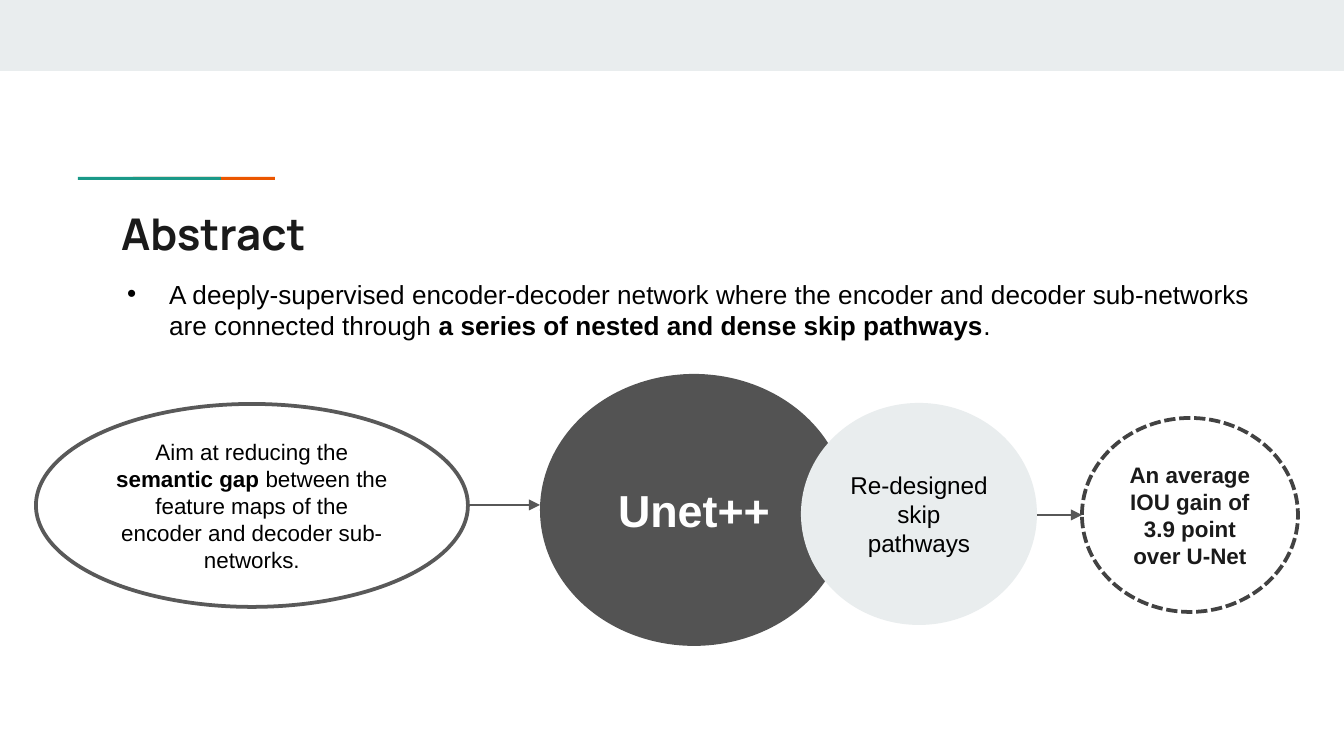
from lxml import etree
from pptx import Presentation
from pptx import util as u
from pptx.dml.color import RGBColor
from pptx.enum import dml, shapes, text
from pptx.oxml.ns import qn

SCALE = 914400 / 134.4  # EMU per px
COLORS = {
    "band": "E9EDEE", "teal": "1A9988", "orange": "EB5600",
    "ink": "1A1A1A", "black": "000000", "white": "FFFFFF",
    "dark": "535353", "outline": "595959", "arrow": "575757", "dash": "424242",
}


def px(n):
    return u.Emu(round(n * SCALE))


def rgb(name):
    return RGBColor.from_string(COLORS[name])


def write(frame, content, size=12, color="black", bold=False, font="Arial", align=None):
    """Fill the frame's first paragraph; content is a string or (string, bold) runs."""
    frame.word_wrap = True
    paragraph = frame.paragraphs[0]
    paragraph.alignment = align
    runs = [(content, bold)] if isinstance(content, str) else content
    for words, is_bold in runs:
        run = paragraph.add_run()
        run.text = words
        run.font.name, run.font.size, run.font.bold = font, u.Pt(size), is_bold
        run.font.color.rgb = rgb(color)
    return paragraph


class Deck:
    def __init__(self, width, height):
        self.prs = Presentation()
        self.prs.slide_width, self.prs.slide_height = px(width), px(height)
        self.slide = self.prs.slides.add_slide(self.prs.slide_layouts[6])

    def shape(self, kind, box, fill=None, line=None, dash=None):
        item = self.slide.shapes.add_shape(kind, *map(px, box))
        item.shadow.inherit = False
        if fill:
            item.fill.solid()
            item.fill.fore_color.rgb = rgb(fill)
        else:
            item.fill.background()
        if line:
            item.line.color.rgb = rgb(line)
            item.line.width = u.Pt(2)
            if dash:
                item.line.dash_style = dash
        else:
            item.line.fill.background()
        return item

    def bar(self, box, fill):
        return self.shape(shapes.MSO_SHAPE.RECTANGLE, box, fill)

    def oval(self, box, content, fill=None, line=None, dash=None, **style):
        item = self.shape(shapes.MSO_SHAPE.OVAL, box, fill, line, dash)
        item.text_frame.vertical_anchor = text.MSO_ANCHOR.MIDDLE
        write(item.text_frame, content, align=text.PP_ALIGN.CENTER, **style)

    def textbox(self, box, content, inset_y=7, bullet=None, indent=42, **style):
        frame = self.slide.shapes.add_textbox(*map(px, box)).text_frame
        frame.margin_top = frame.margin_bottom = px(inset_y)
        paragraph = write(frame, content, **style)
        if bullet:
            props = paragraph._p.get_or_add_pPr()
            props.set("marL", str(px(indent)))
            props.set("indent", str(-px(indent)))
            etree.SubElement(props, qn("a:buFont")).set("typeface", "Arial")
            etree.SubElement(props, qn("a:buChar")).set("char", bullet)

    def arrow(self, x1, x2, y):
        line = self.slide.shapes.add_connector(
            shapes.MSO_CONNECTOR.STRAIGHT, px(x1), px(y), px(x2), px(y))
        line.line.color.rgb = rgb("arrow")
        line.line.width = u.Pt(0.75)
        etree.SubElement(line.line._get_or_add_ln(), qn("a:tailEnd")).set("type", "triangle")
        etree.SubElement(line._element.spPr, qn("a:effectLst"))


def main():
    deck = Deck(1344, 756)

    # Top band and two-colour accent
    deck.bar((0, 0, 1344, 71), "band")
    deck.bar((133, 177, 142, 3), "orange")
    deck.bar((78, 177, 143, 3), "teal")

    # Heading and summary
    deck.textbox((108, 194, 1130, 79), "Abstract", inset_y=13,
                 size=23.4, color="ink", bold=True, font="Manrope")
    deck.textbox((114, 271, 1177, 77), [
        ("A deeply-supervised encoder-decoder network where the encoder and "
         "decoder sub-networks are connected through ", False),
        ("a series of nested and dense skip pathways", True),
        (".", False),
    ], bullet="•", size=14)

    # Flow: aim, network with its pathways, result
    deck.oval((540, 374, 308, 272), "Unet++", fill="dark",
              size=24, color="white", bold=True)
    deck.oval((801, 403, 236, 222), "Re-designed skip pathways", fill="band", size=13)
    deck.oval((36, 404, 432, 203), [
        ("Aim at reducing the ", False),
        ("semantic gap ", True),
        ("between the feature maps of the encoder and decoder sub-networks.", False),
    ], line="outline")
    deck.oval((1082, 418, 216, 194), "An average IOU gain of 3.9 point over U-Net",
              line="dash", dash=dml.MSO_LINE.SQUARE_DOT, color="ink", bold=True)

    # Arrows between the stages
    deck.arrow(468, 540, 505)
    deck.arrow(1037, 1082, 515)

    deck.prs.save("out.pptx")


if __name__ == "__main__":
    main()
